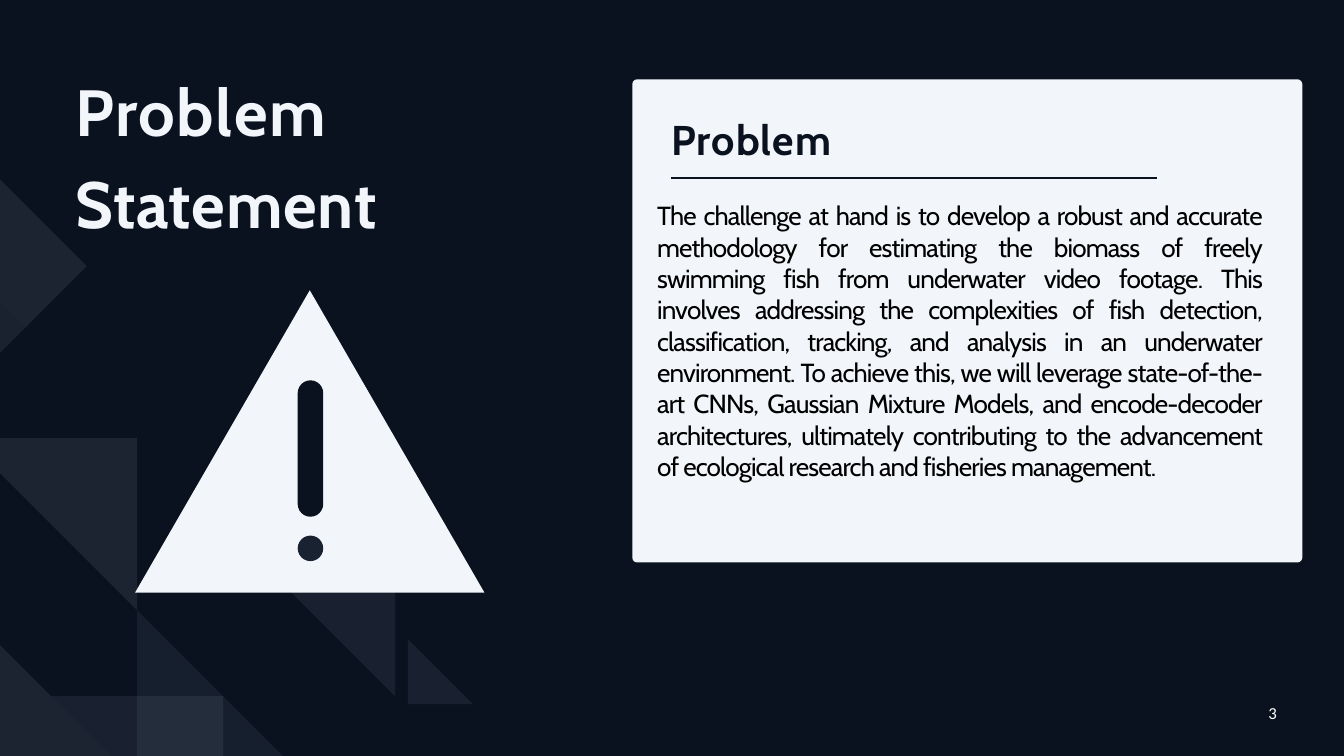
from lxml.etree import SubElement
from pptx import Presentation
from pptx.dml.color import RGBColor
from pptx.enum.shapes import MSO_CONNECTOR, MSO_SHAPE
from pptx.enum.text import PP_ALIGN
from pptx.oxml.ns import qn
from pptx.util import Pt

PX = 9144  # 100 px to the inch
NAVY, PALE, MIST, STEEL = "0A1220", "F2F5FA", "CBDDEC", "AFC1D0"


def paint(sp, color, alpha=None):
    """Give a shape a flat fill, with alpha in percent, and no line."""
    sp.shadow.inherit = False
    sp.fill.solid()
    sp.fill.fore_color.rgb = RGBColor.from_string(color)
    sp.line.fill.background()
    if alpha is not None:
        clr = sp._element.spPr.find(qn("a:solidFill")).find(qn("a:srgbClr"))
        SubElement(clr, qn("a:alpha")).set("val", str(alpha * 1000))


prs = Presentation()
prs.slide_width, prs.slide_height = 2000 * PX, 1125 * PX
s = prs.slides.add_slide(prs.slide_layouts[6])
s.background.fill.solid()
s.background.fill.fore_color.rgb = RGBColor.from_string(NAVY)

# Translucent facets in the lower left
facets = [
    (PALE, [(0, 267), (129, 396), (0, 525)]),
    (PALE, [(0, 960), (165, 1125), (0, 1125)]),
    (MIST, [(76, 1036), (332, 1036), (332, 1125), (165, 1125)]),
    (STEEL, [(204, 908), (421, 1125), (204, 1125)]),
    (PALE, [(0, 652), (204, 652), (204, 908), (0, 704)]),
    (NAVY, [(0, 448), (204, 652), (0, 652)]),
    (MIST, [(332, 780), (588, 780), (588, 1036)]),
    (MIST, [(607, 951), (704, 1048), (607, 1048)]),
]
for color, points in facets:
    builder = s.shapes.build_freeform(*points[0], scale=PX)
    builder.add_line_segments(points[1:], close=True)
    paint(builder.convert_to_shape(), color, 8)

# Card and warning sign: preset, box, corner adjustment, colour
solids = [
    (MSO_SHAPE.ROUNDED_RECTANGLE, (941, 118, 997, 719), 0.01, PALE),
    (MSO_SHAPE.ISOSCELES_TRIANGLE, (201, 432, 520, 450), 0.5, PALE),
    (MSO_SHAPE.ROUNDED_RECTANGLE, (443, 566, 38, 203), 0.5, NAVY),
    (MSO_SHAPE.OVAL, (443, 797, 38, 38), None, "192230"),
]
for preset, box, adjustment, color in solids:
    sp = s.shapes.add_shape(preset, *(v * PX for v in box))
    if adjustment is not None:
        sp.adjustments[0] = adjustment
    paint(sp, color)

rule = s.shapes.add_connector(
    MSO_CONNECTOR.STRAIGHT, 999 * PX, 265 * PX, 1722 * PX, 265 * PX)
rule.line.color.rgb = RGBColor.from_string(NAVY)
rule.line.width = Pt(3)
SubElement(rule._element.spPr, qn("a:effectLst"))

body = (
    "The challenge at hand is to develop a robust and accurate methodology for "
    "estimating the biomass of freely swimming fish from underwater video footage. "
    "This involves addressing the complexities of fish detection, classification, "
    "tracking, and analysis in an underwater environment. To achieve this, we will "
    "leverage state-of-the-art CNNs, Gaussian Mixture Models, and encode-decoder "
    "architectures, ultimately contributing to the advancement of ecological "
    "research and fisheries management."
)

# Box, runs with letter spacing in 1/100 pt, font, size, bold, colour, alignment, line spacing
texts = [
    ((112, 86, 530, 276), [("Problem ", 180), ("Statement", 80)],
     "Cabin", 70, True, PALE, PP_ALIGN.LEFT, 1.17),
    ((999, 170, 276, 77), [("Problem", 120)],
     "Cabin", 44.5, True, NAVY, PP_ALIGN.LEFT, 1.0),
    ((1440, 1046, 460, 30), [("3", 0)],
     "Calibri", 18, False, "FFFFFF", PP_ALIGN.RIGHT, 1.0),
    ((978, 297, 900, 471), [(body, -90)],
     "Cabin", 28, False, "000000", PP_ALIGN.JUSTIFY, 1.0),
]
for box, runs, font, size, bold, color, align, spacing in texts:
    tf = s.shapes.add_textbox(*(v * PX for v in box)).text_frame
    tf.word_wrap = True
    tf.margin_left = tf.margin_top = tf.margin_right = tf.margin_bottom = 0
    p = tf.paragraphs[0]
    p.alignment = align
    p.line_spacing = spacing
    p.font.name = font
    p.font.size = Pt(size)
    p.font.bold = bold
    p.font.color.rgb = RGBColor.from_string(color)
    for text, tracking in runs:
        r = p.add_run()
        r.text = text
        if tracking:
            r._r.get_or_add_rPr().set("spc", str(tracking))

prs.save("out.pptx")
